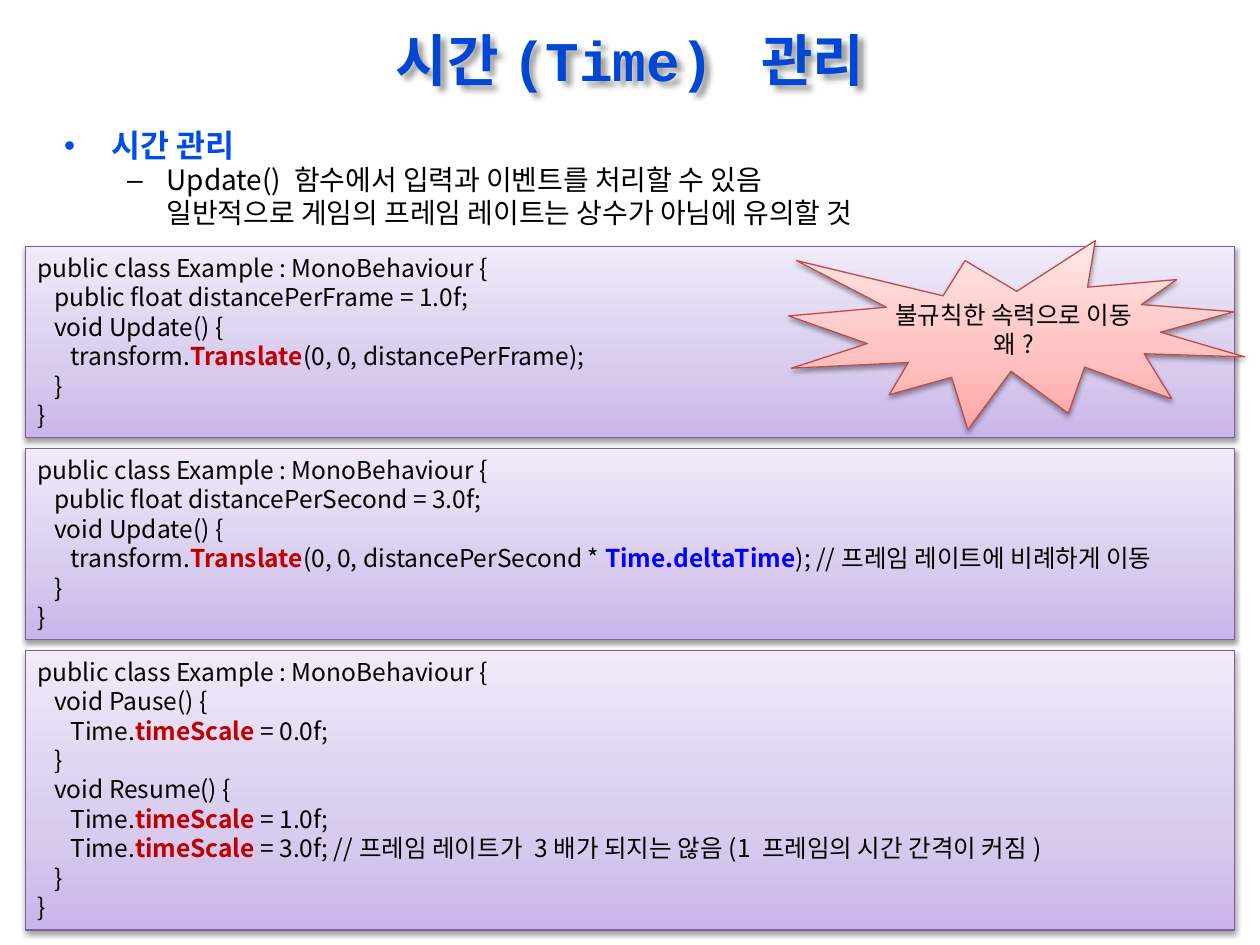
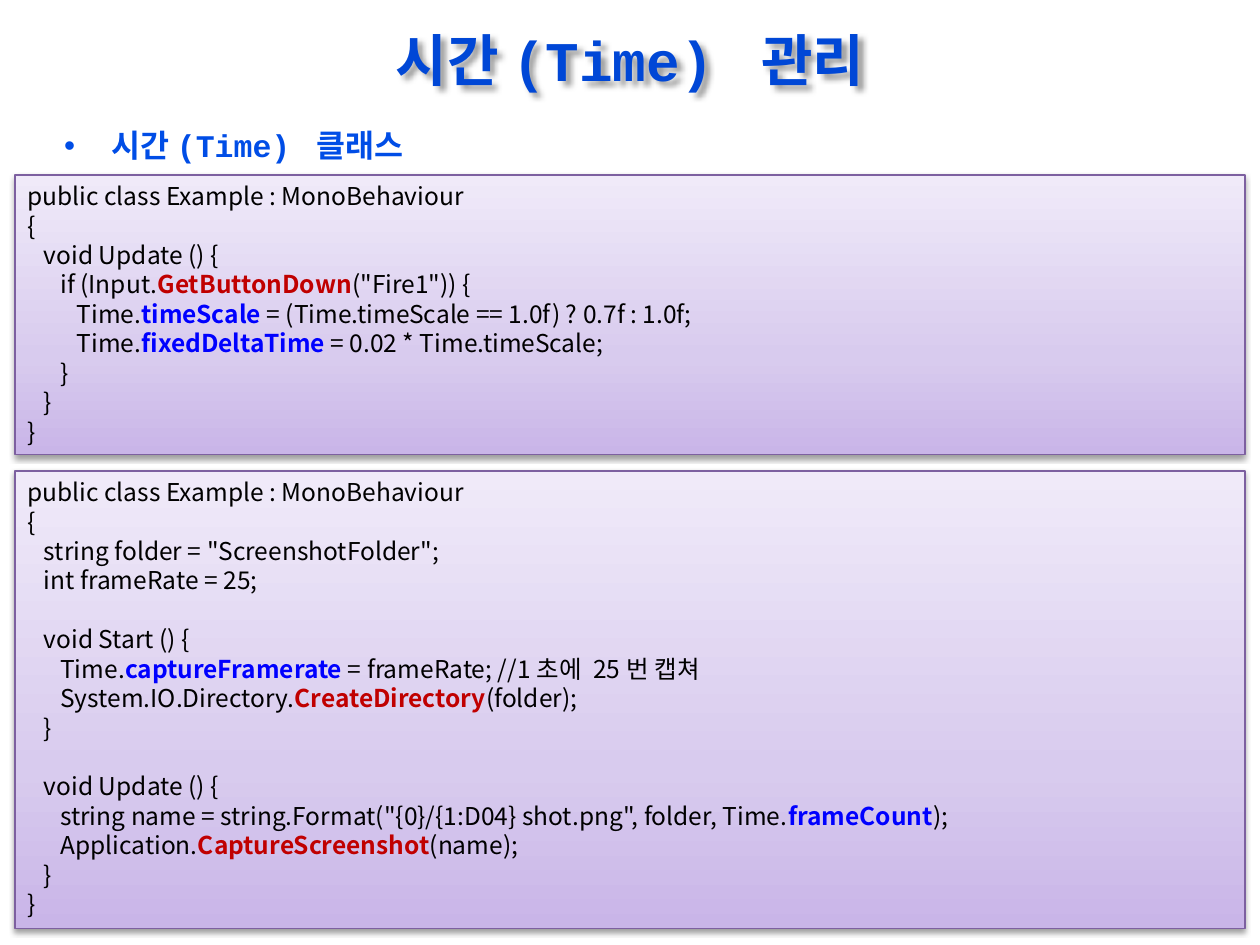
from lxml.etree import SubElement
from pptx import Presentation
from pptx.dml.color import RGBColor as Rgb
from pptx.enum.shapes import MSO_SHAPE as Shape
from pptx.enum.text import MSO_ANCHOR as Anchor, PP_ALIGN as Align
from pptx.oxml import parse_xml
from pptx.oxml.ns import nsdecls, qn
from pptx.util import Pt

COLORS = {
    "title": "0047D6", "heading": "004DE6", "text": "000000",
    "red": "C00000", "blue": "0000FF",
    "panel_line": "7D60A0", "burst_line": "BF4C48",
}
PANEL_STOPS = {0: "C9B5E8", 35: "D8CBEE", 100: "F0EAF9"}
BURST_STOPS = {0: "FFA6A5", 35: "FFC0BF", 100: "FFE7E7"}
BODY_FONT, TITLE_FONT = "Noto Sans CJK KR", "Courier New"
LINE_PITCH, PANEL_PITCH, PANEL_PADDING = 16.8, 16.95, 7.2
INDENT_STEP = 9.4

SLIDES = [
    {
        "title": "시간(Time) 관리",
        "heading": "시간 관리",
        "detail": "Update() 함수에서 입력과 이벤트를 처리할 수 있음\v"
                  "일반적으로 게임의 프레임 레이트는 상수가 아님에 유의할 것",
        "left": 14.4, "top": 141, "gap": 6.5,
        "burst": ["불규칙한 속력으로 이동", "왜?"],
        "panels": ["""\
public class Example : MonoBehaviour {
   public float distancePerFrame = 1.0f;
   void Update() {
      transform.|red:Translate|(0, 0, distancePerFrame);
   }
}""", """\
public class Example : MonoBehaviour {
   public float distancePerSecond = 3.0f;
   void Update() {
      transform.|red:Translate|(0, 0, distancePerSecond * |blue:Time.deltaTime|); //프레임 레이트에 비례하게 이동
   }
}""", """\
public class Example : MonoBehaviour {
   void Pause() {
      Time.|red:timeScale |= 0.0f;
   }
   void Resume() {
      Time.|red:timeScale |= 1.0f;
      Time.|red:timeScale |= 3.0f; //프레임 레이트가 3배가 되지는 않음(1 프레임의 시간 간격이 커짐)
   }
}"""],
    },
    {
        "title": "시간(Time) 관리",
        "heading": "시간(Time) 클래스",
        "detail": "",
        "left": 8.6, "top": 100, "gap": 9.4,
        "burst": [],
        "panels": ["""\
public class Example : MonoBehaviour
{
   void Update () {
      if (Input.|red:GetButtonDown|("Fire1")) {
         Time.|blue:timeScale |= (Time.timeScale == 1.0f) ? 0.7f : 1.0f;
         Time.|blue:fixedDeltaTime |= 0.02 * Time.timeScale;
      }
   }
}""", """\
public class Example : MonoBehaviour
{
   string folder = "ScreenshotFolder";
   int frameRate = 25;

   void Start () {
      Time.|blue:captureFramerate |= frameRate; //1초에 25번 캡쳐
      System.IO.Directory.|red:CreateDirectory|(folder);
   }

   void Update () {
      string name = string.Format("{0}/{1:D04} shot.png", folder, Time.|blue:frameCount|);
      Application.|red:CaptureScreenshot|(name);
   }
}"""],
    },
]


def style_span(span, size, color="text", bold=False, font=BODY_FONT):
    span.font.size = Pt(size)
    span.font.bold = bold
    span.font.name = font
    span.font.color.rgb = Rgb.from_string(COLORS[color])
    SubElement(span.font._element, qn("a:ea"), typeface=BODY_FONT)


def style_box(box, stops, line, blur=3.1, distance=1.6, angle=90):
    box.shadow.inherit = False
    properties = box._element.spPr
    if stops:
        box.line.color.rgb = Rgb.from_string(COLORS[line])
        box.line.width = Pt(0.75)
        marks = "".join(
            f'<a:gs pos="{at * 1000}"><a:srgbClr val="{color}"/></a:gs>'
            for at, color in stops.items())
        properties.insert(2, parse_xml(
            f'<a:gradFill {nsdecls("a")} rotWithShape="1"><a:gsLst>{marks}</a:gsLst>'
            '<a:lin ang="16200000" scaled="0"/></a:gradFill>'))
    properties.find(qn("a:effectLst")).append(parse_xml(
        f'<a:outerShdw {nsdecls("a")} blurRad="{Pt(blur)}" dist="{Pt(distance)}" '
        f'dir="{angle * 60000}" algn="tl" rotWithShape="0"><a:srgbClr val="000000">'
        '<a:alpha val="38000"/></a:srgbClr></a:outerShdw>'))


deck = Presentation()
deck.slide_width, deck.slide_height = Pt(720), Pt(540)

for content in SLIDES:
    page = deck.slides.add_slide(deck.slide_layouts[6])

    title = page.shapes.add_textbox(Pt(0), Pt(0), Pt(720), Pt(67.7))
    style_box(title, None, None, blur=3, distance=3, angle=45)
    frame = title.text_frame
    frame.word_wrap = True
    frame.vertical_anchor = Anchor.MIDDLE
    frame.text = content["title"]
    frame.paragraphs[0].alignment = Align.CENTER
    style_span(frame.paragraphs[0].runs[0], 32, "title", True, TITLE_FONT)

    body = page.shapes.add_textbox(Pt(0), Pt(67.7), Pt(720), Pt(444))
    frame = body.text_frame
    frame.word_wrap = True
    frame.margin_left, frame.margin_right = Pt(36.7), Pt(31)
    levels = [
        (content["heading"], "•", 27, 27, 22.5, (18, "heading", True, TITLE_FONT)),
        (content["detail"], "–", 58.5, 22.5, 18.6, (16,)),
    ]
    for number, (text, bullet, margin, hanging, pitch, look) in enumerate(levels):
        if not text:
            continue
        para = frame.add_paragraph() if number else frame.paragraphs[0]
        para.text = text
        para.line_spacing = Pt(pitch)
        settings = para._p.get_or_add_pPr()
        settings.set("marL", str(Pt(margin)))
        settings.set("indent", str(-Pt(hanging)))
        SubElement(settings, qn("a:buFont"), typeface="Arial")
        SubElement(settings, qn("a:buChar"), char=bullet)
        for span in para.runs:
            style_span(span, *look)

    top = content["top"]
    for code in content["panels"]:
        lines = code.split("\n")
        height = PANEL_PADDING + PANEL_PITCH * len(lines)
        panel = page.shapes.add_shape(
            Shape.RECTANGLE, Pt(content["left"]), Pt(top),
            Pt(720 - 2 * content["left"]), Pt(height))
        style_box(panel, PANEL_STOPS, "panel_line")
        frame = panel.text_frame
        frame.word_wrap = True
        frame.vertical_anchor = Anchor.TOP
        space_before = 0
        for number, line in enumerate(lines):
            if not line:
                space_before = LINE_PITCH
                continue
            para = frame.add_paragraph() if number else frame.paragraphs[0]
            para.alignment = Align.LEFT
            para.line_spacing = Pt(LINE_PITCH)
            para.space_before = Pt(space_before)
            space_before = 0
            statement = line.lstrip()
            depth = (len(line) - len(statement)) // 3
            para._p.get_or_add_pPr().set("marL", str(Pt(INDENT_STEP * depth)))
            for position, part in enumerate(statement.split("|")):
                span = para.add_run()
                if position % 2:
                    color, span.text = part.split(":")
                    style_span(span, 14, color, True)
                else:
                    span.text = part
                    style_span(span, 14)
        top += height + content["gap"]

    if content["burst"]:
        burst = page.shapes.add_shape(
            Shape.EXPLOSION1, Pt(450.7), Pt(137.5), Pt(260.6), Pt(108))
        style_box(burst, BURST_STOPS, "burst_line")
        frame = burst.text_frame
        frame.word_wrap = True
        frame.vertical_anchor = Anchor.MIDDLE
        frame.margin_left = frame.margin_right = Pt(0)
        frame.margin_top = frame.margin_bottom = Pt(0)
        frame.text = "\n".join(content["burst"])
        for para in frame.paragraphs:
            para.alignment = Align.CENTER
            para.line_spacing = Pt(LINE_PITCH)
            style_span(para.runs[0], 14)

deck.save("out.pptx")
